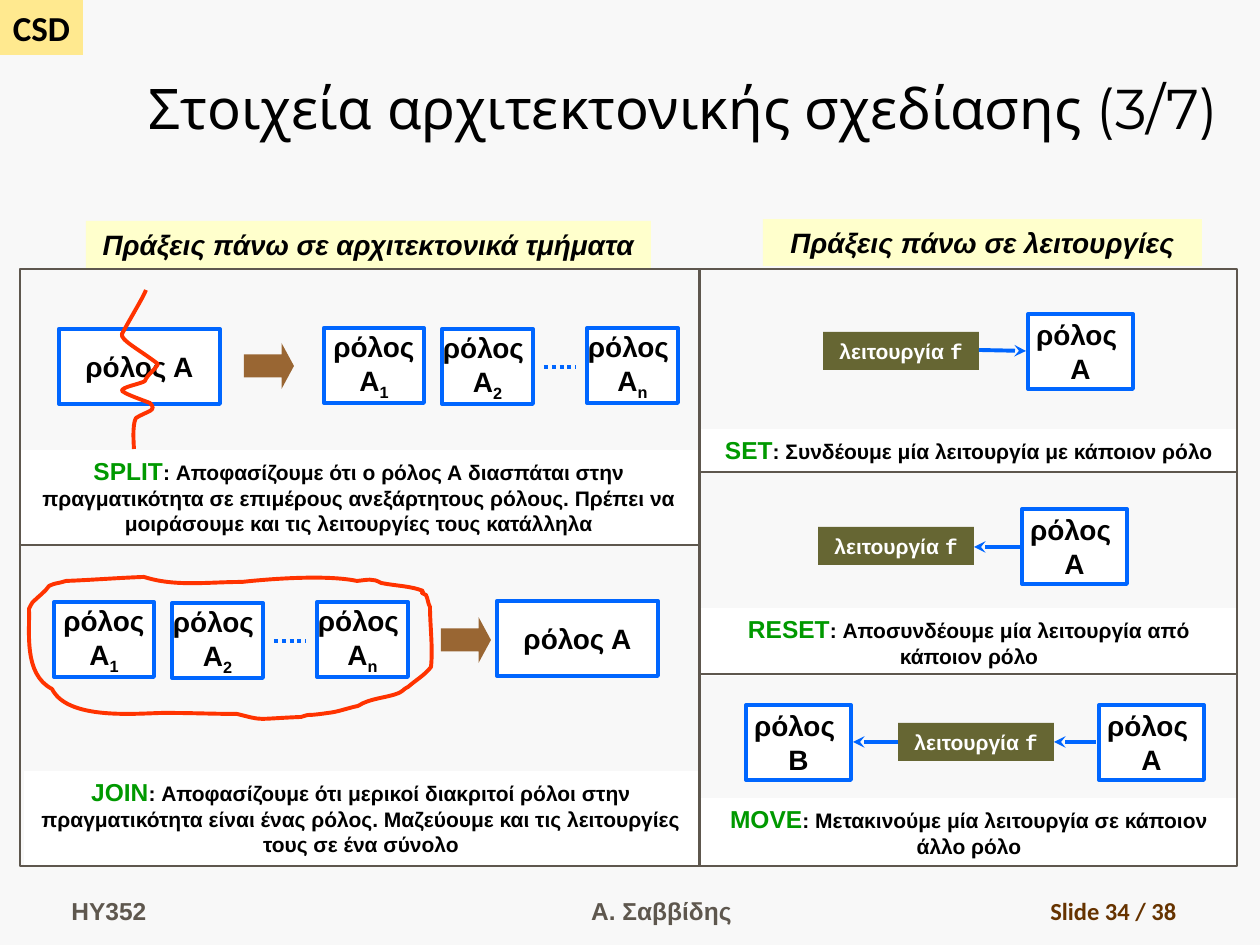
from lxml.etree import SubElement
from pptx import Presentation
from pptx.dml.color import RGBColor
from pptx.enum.dml import MSO_LINE
from pptx.enum.shapes import MSO_CONNECTOR, MSO_SHAPE
from pptx.enum.text import MSO_ANCHOR, MSO_AUTO_SIZE, PP_ALIGN
from pptx.oxml.ns import qn
from pptx.util import Emu, Pt

PX = 914400 / 126
BLUE, RED, GREY, BROWN = "0066FF", "FF3300", "5E574E", "996633"
WHITE, BLACK, GREEN, OLIVE = "FFFFFF", "000000", "009900", "666633"
ROLE_HEIGHT = 75

CUT = [(146, 290),
       (144, 296), (134, 312), (122, 334), (120, 340), (140, 350), (158, 364),
       (156, 369), (147, 375), (145, 381), (141, 384), (121, 387), (122, 391),
       (126, 394), (134, 397), (150, 403), (158, 411), (147, 411), (136, 418),
       (132, 425), (134, 446), (134, 449)]
LASSO = [(423, 591),
         (411, 586), (396, 586), (381, 583), (373, 578), (367, 580), (357, 581),
         (319, 573), (242, 582), (242, 582), (208, 582), (175, 587), (144, 577),
         (117, 578), (92, 580), (66, 581), (53, 585), (58, 582), (49, 586),
         (45, 592), (39, 596), (34, 601), (32, 602), (29, 609), (29, 609),
         (30, 631), (23, 674), (52, 689), (69, 723), (147, 712), (170, 713),
         (192, 713), (214, 714), (237, 714), (265, 721), (253, 719), (301, 717),
         (314, 713), (300, 717), (328, 713), (338, 712), (348, 708), (358, 706),
         (370, 698), (387, 698), (399, 693), (406, 689), (402, 690), (408, 687),
         (416, 680), (425, 675), (431, 667), (433, 648), (430, 625), (430, 607),
         (428, 604), (428, 599), (426, 595), (426, 595), (422, 593), (422, 593),
         (422, 593), (423, 592), (423, 591)]


def px(*lengths):
    return [Emu(round(length * PX)) for length in lengths]


def color(hex_code):
    return RGBColor.from_string(hex_code)


def write(shape, paragraphs, size=16, font="Arial", ink=BLACK, bold=True, italic=False,
          align=PP_ALIGN.CENTER, anchor=MSO_ANCHOR.TOP, wrap=True):
    frame = shape.text_frame
    frame.word_wrap = wrap
    frame.auto_size = MSO_AUTO_SIZE.NONE
    frame.vertical_anchor = anchor
    for index, runs in enumerate(paragraphs):
        paragraph = frame.add_paragraph() if index else frame.paragraphs[0]
        paragraph.alignment = align
        for words, changes in runs:
            run = paragraph.add_run()
            run.text = words
            run.font.size = Pt(changes.get("size", size))
            run.font.name = changes.get("font", font)
            run.font.color.rgb = color(changes.get("ink", ink))
            run.font.bold = bold
            run.font.italic = italic
            if "baseline" in changes:
                run.font._element.set("baseline", str(changes["baseline"]))


def stroke(shape, hex_code, width):
    shape.line.color.rgb = color(hex_code)
    shape.line.width = Pt(width)


def box(slide, place, fill=None, outline=None, width=2.25, preset=MSO_SHAPE.RECTANGLE):
    shape = slide.shapes.add_shape(preset, *px(*place))
    shape.shadow.inherit = False
    if fill:
        shape.fill.solid()
        shape.fill.fore_color.rgb = color(fill)
    else:
        shape.fill.background()
    if outline:
        stroke(shape, outline, width)
    else:
        shape.line.fill.background()
    return shape


def line(slide, ends, hex_code=BLUE, width=2.25, dotted=False, arrow=False):
    connector = slide.shapes.add_connector(MSO_CONNECTOR.STRAIGHT, *px(*ends))
    stroke(connector, hex_code, width)
    if dotted:
        connector.line.dash_style = MSO_LINE.ROUND_DOT
    if arrow:
        SubElement(connector.line._get_or_add_ln(), qn("a:tailEnd"), type="stealth")
    SubElement(connector._element.spPr, qn("a:effectLst"))


def curve(slide, points, closed=False):
    builder = slide.shapes.build_freeform(*points[0], scale=PX)
    builder.add_line_segments(points[1:], close=closed)
    stroke_shape = builder.convert_to_shape()
    outline = next(stroke_shape._element.iter(qn("a:path")))
    segments = outline.findall(qn("a:lnTo"))
    for start in range(0, len(points) - 1, 3):
        bezier = SubElement(outline, qn("a:cubicBezTo"))
        for segment in segments[start:start + 3]:
            bezier.append(segment[0])
    for segment in segments:
        outline.remove(segment)
    for close in outline.findall(qn("a:close")):
        outline.append(close)
    stroke_shape.shadow.inherit = False
    stroke_shape.fill.background()
    stroke(stroke_shape, RED, 2.25)


def label(slide, place, words, **style):
    write(slide.shapes.add_textbox(*px(*place)), [[(words, {})]],
          size=14, anchor=MSO_ANCHOR.BOTTOM, **style)


def heading(slide, place, words):
    write(box(slide, place, "FFFFCC"), [[(words, {})]], italic=True)


def role(slide, x, y, width, *paragraphs):
    write(box(slide, (x, y, width, ROLE_HEIGHT), WHITE, BLUE), paragraphs,
          anchor=MSO_ANCHOR.MIDDLE, wrap=False)


def role_series(slide, x, y):
    for dx, dy, width, name, index in ((0, 0, 100, "ρόλος", "1"),
                                       (118, 1, 91, "ρόλος ", "2"),
                                       (263, 0, 91, "ρόλος ", "n")):
        role(slide, x + dx, y + dy, width, [(name, {})],
             [("Α", {}), (index, {"baseline": -25000})])
    line(slide, (x + 220, y + 39, x + 252, y + 39), dotted=True)


def whole_role(slide, x, y):
    role(slide, x, y, 161, [("ρόλος Α", {})])


def linked_role(slide, x, y, name="Α"):
    role(slide, x, y, 105, [("ρόλος ", {})], [(name, {})])


def function_tag(slide, x, y):
    write(box(slide, (x, y, 156, 38), OLIVE),
          [[("λειτουργία ", {}), ("f", {"font": "Courier New"})]],
          size=12, ink=WHITE, wrap=False)


def block_arrow(slide, x, y):
    arrow = box(slide, (x, y, 50, 46), BROWN, preset=MSO_SHAPE.RIGHT_ARROW)
    arrow.adjustments[1] = 0.27


def caption(slide, place, operation, meaning):
    write(box(slide, place, WHITE),
          [[(operation, {"size": 14, "ink": GREEN}), (": " + meaning, {})]], size=12)


def main():
    deck = Presentation()
    deck.slide_width, deck.slide_height = px(1260, 945)
    slide = deck.slides.add_slide(deck.slide_layouts[5])
    slide.background.fill.solid()
    slide.background.fill.fore_color.rgb = color("F8F8F8")

    title = slide.shapes.title
    title.left, title.top, title.width, title.height = px(136, 21, 1124, 126)
    write(title, [[("Στοιχεία αρχιτεκτονικής σχεδίασης (3/7)", {})]], size=32,
          font="Montserrat", bold=False, align=PP_ALIGN.LEFT, anchor=MSO_ANCHOR.BOTTOM)
    write(box(slide, (0, 0, 83, 55), "FFE98F"), [[("CSD", {})]],
          size=20, font="Calibri", wrap=False)
    label(slide, (59, 869, 276, 63), "HY352", ink=GREY, align=PP_ALIGN.LEFT)
    label(slide, (462, 869, 399, 63), "Α. Σαββίδης", ink=GREY)
    label(slide, (927, 869, 262, 63), "Slide 34 / 38", font="Calibri", ink="663300",
          align=PP_ALIGN.RIGHT)

    heading(slide, (86, 221, 565, 47), "Πράξεις πάνω σε αρχιτεκτονικά τμήματα")
    heading(slide, (763, 219, 439, 47), "Πράξεις πάνω σε λειτουργίες")

    whole_role(slide, 59, 329)
    block_arrow(slide, 244, 343)
    role_series(slide, 324, 328)
    curve(slide, CUT)
    caption(slide, (19, 450, 680, 94), "SPLIT",
            "Αποφασίζουμε ότι ο ρόλος Α διασπάται στην πραγματικότητα σε επιμέρους "
            "ανεξάρτητους ρόλους. Πρέπει να μοιράσουμε και τις λειτουργίες τους κατάλληλα")

    role_series(slide, 54, 602)
    block_arrow(slide, 441, 617)
    whole_role(slide, 497, 601)
    curve(slide, LASSO, closed=True)
    caption(slide, (24, 771, 674, 94), "JOIN",
            "Αποφασίζουμε ότι μερικοί διακριτοί ρόλοι στην πραγματικότητα είναι ένας "
            "ρόλος. Μαζεύουμε και τις λειτουργίες τους σε ένα σύνολο")

    linked_role(slide, 1028, 314)
    linked_role(slide, 1022, 509)
    linked_role(slide, 1099, 705)
    linked_role(slide, 746, 705, "B")
    for x, y in ((823, 332), (818, 527), (898, 723)):
        function_tag(slide, x, y)
    for ends in ((979, 350, 1026, 351), (1021, 547, 974, 547),
                 (1096, 742, 1054, 742), (898, 742, 853, 742)):
        line(slide, ends, arrow=True)
    for top, height, operation, meaning in (
            (429, 43, "SET", "Συνδέουμε μία λειτουργία με κάποιον ρόλο"),
            (608, 68, "RESET", "Αποσυνδέουμε μία λειτουργία από κάποιον ρόλο"),
            (798, 68, "MOVE", "Μετακινούμε μία λειτουργία σε κάποιον άλλο ρόλο")):
        caption(slide, (701, top, 536, height), operation, meaning)

    for left, width in ((20, 680), (699, 538)):
        box(slide, (left, 269, width, 597), outline=GREY, width=1.5)
    for left, right, y in ((19, 699, 545), (699, 1237, 472), (699, 1237, 674)):
        line(slide, (left, y, right, y), GREY, 1.5)
    deck.save("out.pptx")


main()
